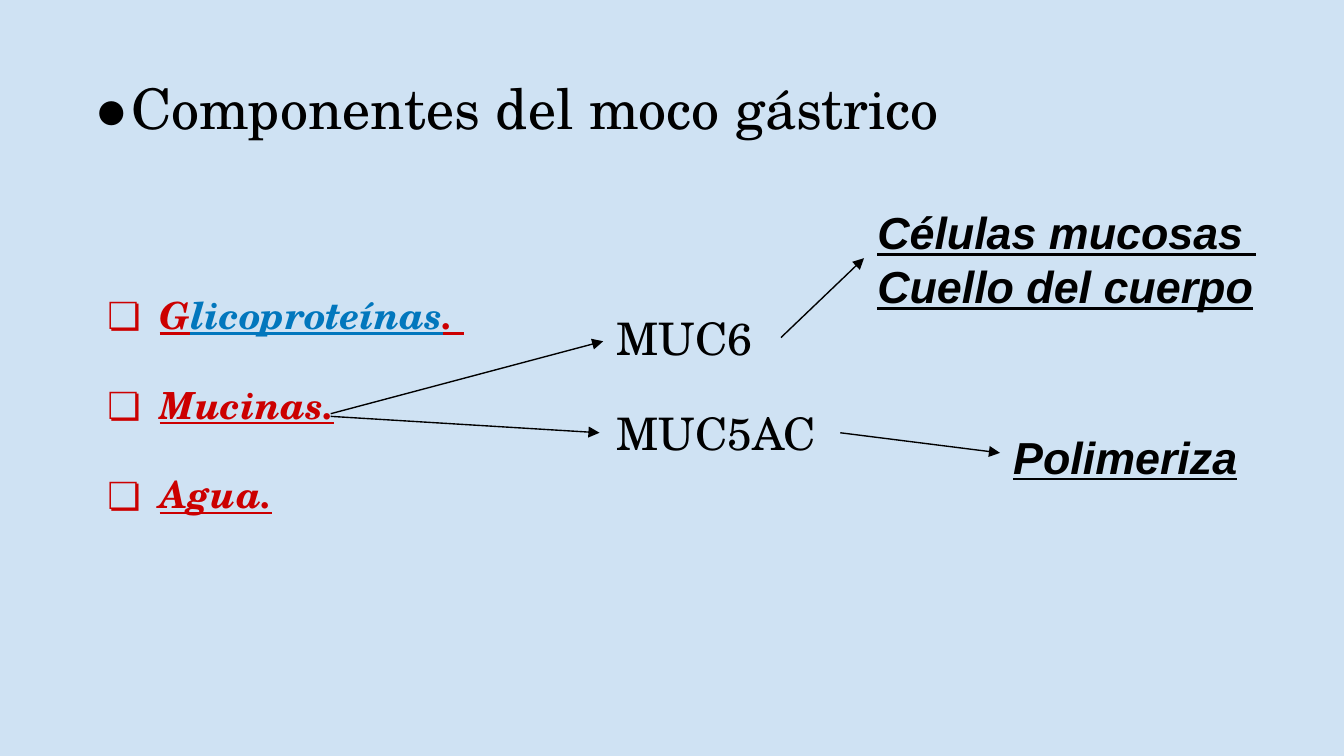
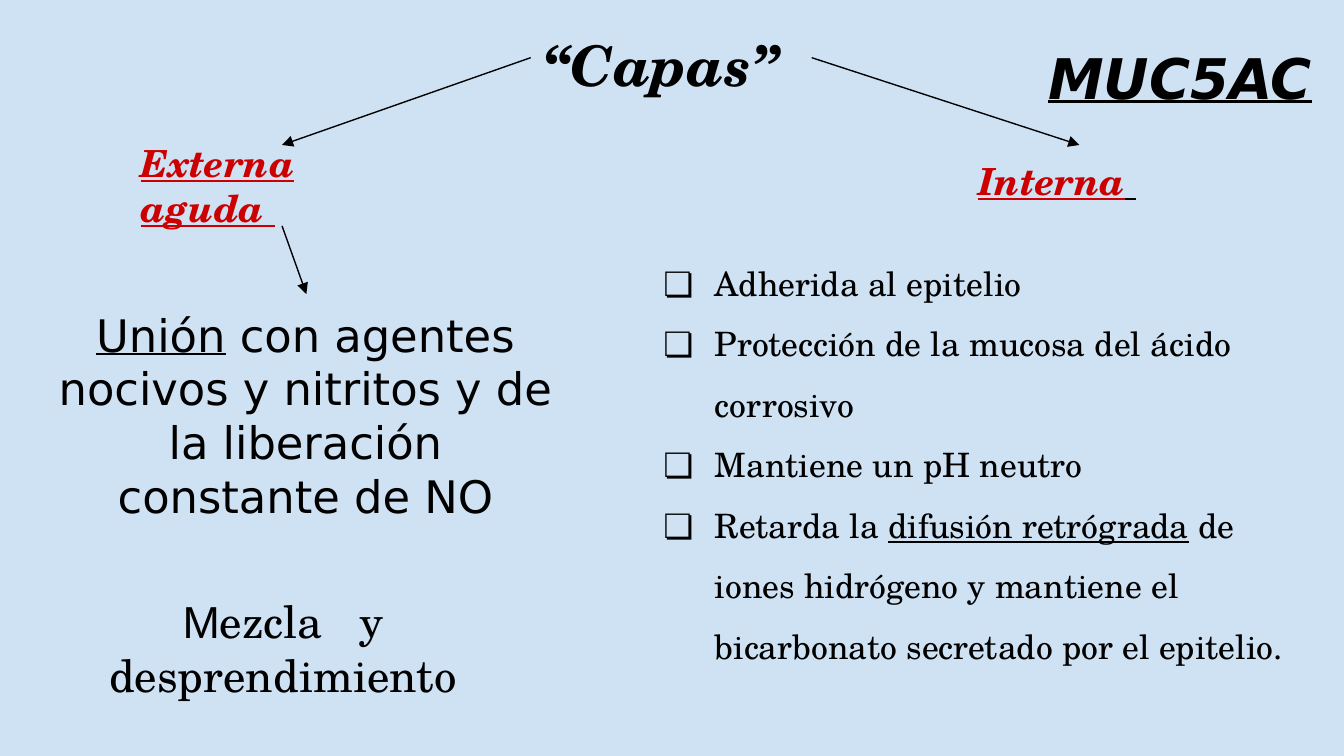
"""Build two slides on the components and layers of gastric mucus."""
from dataclasses import dataclass, replace
from typing import Optional

from lxml.etree import SubElement
from pptx import Presentation
from pptx.dml.color import RGBColor as Color
from pptx.enum.shapes import MSO_CONNECTOR as Connector
from pptx.enum.text import MSO_ANCHOR as Anchor, MSO_AUTO_SIZE as AutoSize, PP_ALIGN as Align
from pptx.oxml.ns import qn
from pptx.util import Cm, Pt

TITLE_ONLY = 5


@dataclass(frozen=True)
class Theme:
    background: str = "CFE2F3"
    ink: str = "000000"
    red: str = "CC0000"
    blue: str = "0277BD"
    serif: str = "TeX Gyre Schola"
    sans: str = "Arial"
    wide_sans: str = "DejaVu Sans"
    title_size: int = 30
    body_size: int = 24
    term_size: int = 20
    list_size: int = 18
    inset: float = 0.25
    line_width: float = 0.75


THEME = Theme()


@dataclass(frozen=True)
class Style:
    size: int = THEME.body_size
    font: str = THEME.serif
    color: str = THEME.ink
    bold: bool = False
    italic: bool = False
    underline: bool = False
    tracking: int = 0


@dataclass(frozen=True)
class Bullet:
    char: str
    color: str
    hanging: float


@dataclass(frozen=True)
class Span:
    text: str
    style: Style


@dataclass(frozen=True)
class TextBlock:
    at: tuple[float, float, float, float]
    paragraphs: tuple[tuple[Span, ...], ...]
    anchor: Anchor = Anchor.MIDDLE
    align: Align = Align.LEFT
    bullet: Optional[Bullet] = None
    line_spacing: float = 1.0
    gap: int = 0


@dataclass(frozen=True)
class Arrow:
    start: tuple[float, float]
    end: tuple[float, float]


BODY = Style()
HEADING = Style(size=THEME.title_size)
TERM = Style(size=THEME.term_size, color=THEME.red, bold=True, italic=True, underline=True)
RESULT = Style(font=THEME.sans, bold=True, italic=True, underline=True)
CAUSE = Style(font=THEME.wide_sans)
ITEM = Style(size=THEME.list_size)


def lines(style: Style, *texts: str) -> tuple[tuple[Span, ...], ...]:
    """Return one single-style paragraph for each text."""
    return tuple((Span(text, style),) for text in texts)


def format_run(run, style: Style) -> None:
    """Apply a style to a run."""
    font = run.font
    font.name, font.size = style.font, Pt(style.size)
    font.bold, font.italic, font.underline = style.bold, style.italic, style.underline
    font.color.rgb = Color.from_string(style.color)
    if style.tracking:
        run._r.get_or_add_rPr().set("spc", str(style.tracking))


def add_bullet(paragraph, bullet: Bullet, font: str) -> None:
    """Give a paragraph a coloured bullet and a hanging indent."""
    properties = paragraph._p.get_or_add_pPr()
    properties.set("marL", str(Cm(1.27)))
    properties.set("indent", str(-Cm(bullet.hanging)))
    SubElement(SubElement(properties, qn("a:buClr")), qn("a:srgbClr"), val=bullet.color)
    SubElement(properties, qn("a:buFont"), typeface=font)
    SubElement(properties, qn("a:buChar"), char=bullet.char)


def fill_text(shape, block: TextBlock) -> None:
    """Place a shape and write a text block into it."""
    shape.left, shape.top, shape.width, shape.height = map(Cm, block.at)
    frame = shape.text_frame
    frame.text = "\n".join(spans[0].text for spans in block.paragraphs)
    frame.word_wrap, frame.auto_size = True, AutoSize.NONE
    frame.vertical_anchor = block.anchor
    frame.margin_left = frame.margin_right = Cm(THEME.inset)
    frame.margin_top = frame.margin_bottom = Cm(THEME.inset)
    for index, (paragraph, spans) in enumerate(zip(frame.paragraphs, block.paragraphs)):
        if block.bullet:
            add_bullet(paragraph, block.bullet, spans[0].style.font)
        paragraph.alignment = block.align
        paragraph.line_spacing = block.line_spacing
        paragraph.space_before = Pt(block.gap if index else 0)
        for span in spans[1:]:
            paragraph.add_run().text = span.text
        for run, span in zip(paragraph.runs, spans):
            format_run(run, span.style)


def add_arrow(slide, arrow: Arrow) -> None:
    """Draw a straight line with a triangular head."""
    connector = slide.shapes.add_connector(
        Connector.STRAIGHT, *map(Cm, arrow.start + arrow.end))
    connector.line.color.rgb = Color.from_string(THEME.ink)
    connector.line.width = Pt(THEME.line_width)
    SubElement(connector.line._get_or_add_ln(), qn("a:tailEnd"), type="triangle")
    SubElement(connector._element.spPr, qn("a:effectLst"))


def add_slide(presentation, title: TextBlock, blocks: list[TextBlock],
              arrows: list[Arrow]) -> None:
    """Add a slide with its title, text blocks and arrows."""
    slide = presentation.slides.add_slide(presentation.slide_layouts[TITLE_ONLY])
    slide.background.fill.solid()
    slide.background.fill.fore_color.rgb = Color.from_string(THEME.background)
    fill_text(slide.shapes.title, title)
    for block in blocks:
        fill_text(slide.shapes.add_textbox(*map(Cm, block.at)), block)
    for arrow in arrows:
        add_arrow(slide, arrow)


def add_components(presentation) -> None:
    """Add the slide on the components of gastric mucus."""
    title = TextBlock((0.84, 1.14, 23.67, 1.78),
                      lines(HEADING, "Componentes del moco gástrico"),
                      Anchor.TOP, bullet=Bullet("●", THEME.ink, 0.64))
    glycoproteins = (Span("G", TERM),
                     Span("licoproteínas", replace(TERM, color=THEME.blue)),
                     Span(". ", TERM))
    blocks = [
        TextBlock((1.5, 3.48, 9.07, 8.33),
                  (glycoproteins, *lines(TERM, "Mucinas.", "Agua.")),
                  bullet=Bullet("❏", THEME.red, 0.99), gap=24),
        TextBlock((11.4, 7.29, 4.47, 1.78), lines(BODY, "MUC5AC")),
        TextBlock((11.4, 5.13, 3.35, 2.49), lines(BODY, "MUC6")),
        TextBlock((18.9, 7.87, 5.13, 1.37), lines(RESULT, "Polimeriza"), Anchor.TOP),
        TextBlock((16.33, 2.92, 9.07, 3.94),
                  lines(RESULT, "Células mucosas ", "Cuello del cuerpo")),
    ]
    arrows = [
        Arrow((6.25, 7.82), (11.4, 6.45)),
        Arrow((6.25, 7.87), (11.33, 8.18)),
        Arrow((15.88, 8.18), (18.9, 8.56)),
        Arrow((14.76, 6.38), (16.33, 4.88)),
    ]
    add_slide(presentation, title, blocks, arrows)


def add_layers(presentation) -> None:
    """Add the slide on the outer and inner layers."""
    title = TextBlock((10.03, 0.33, 5.31, 1.52),
                      lines(replace(HEADING, bold=True, italic=True), "“Capas”"), Anchor.TOP)
    diffusion = (Span("Retarda la ", ITEM),
                 Span("difusión retrógrada", replace(ITEM, underline=True)),
                 Span(" de iones hidrógeno y mantiene el bicarbonato secretado "
                      "por el epitelio.", ITEM))
    functions = lines(ITEM, "Adherida al epitelio",
                      "Protección de la mucosa del ácido corrosivo",
                      "Mantiene un pH neutro")
    union = (Span("Unión", replace(CAUSE, underline=True)),
             Span(" con agentes nocivos y nitritos y de la liberación constante de NO", CAUSE))
    mixing = (Span("M", replace(BODY, font=THEME.sans)), Span("ezcla", BODY),
              Span(" ", replace(BODY, tracking=1300)), Span("y desprendimiento", BODY))
    blocks = [
        TextBlock((2.41, 2.74, 5.84, 1.52), lines(TERM, "Externa aguda ")),
        TextBlock((18.24, 2.74, 4.32, 1.52),
                  ((Span("Interna", TERM), Span(" ", replace(TERM, color=THEME.ink))),),
                  Anchor.TOP),
        TextBlock((11.99, 4.34, 12.75, 8.74), (*functions, diffusion), Anchor.TOP,
                  bullet=Bullet("❏", THEME.ink, 0.97), line_spacing=1.5),
        TextBlock((0.76, 5.56, 10.03, 5.79), (union,), Anchor.TOP, Align.CENTER),
        TextBlock((1.22, 10.77, 8.26, 2.95), (mixing,), align=Align.CENTER),
        TextBlock((19.56, 0.23, 5.84, 2.44),
                  lines(replace(RESULT, size=THEME.title_size, font=THEME.wide_sans), "MUC5AC")),
    ]
    arrows = [
        Arrow((10.03, 1.09), (5.33, 2.74)),
        Arrow((15.34, 1.09), (20.4, 2.74)),
        Arrow((5.33, 4.27), (5.79, 5.56)),
    ]
    add_slide(presentation, title, blocks, arrows)


def main() -> None:
    """Build and save the presentation."""
    presentation = Presentation()
    presentation.slide_width, presentation.slide_height = Cm(25.4), Cm(14.29)
    add_components(presentation)
    add_layers(presentation)
    presentation.save("out.pptx")


if __name__ == "__main__":
    main()
